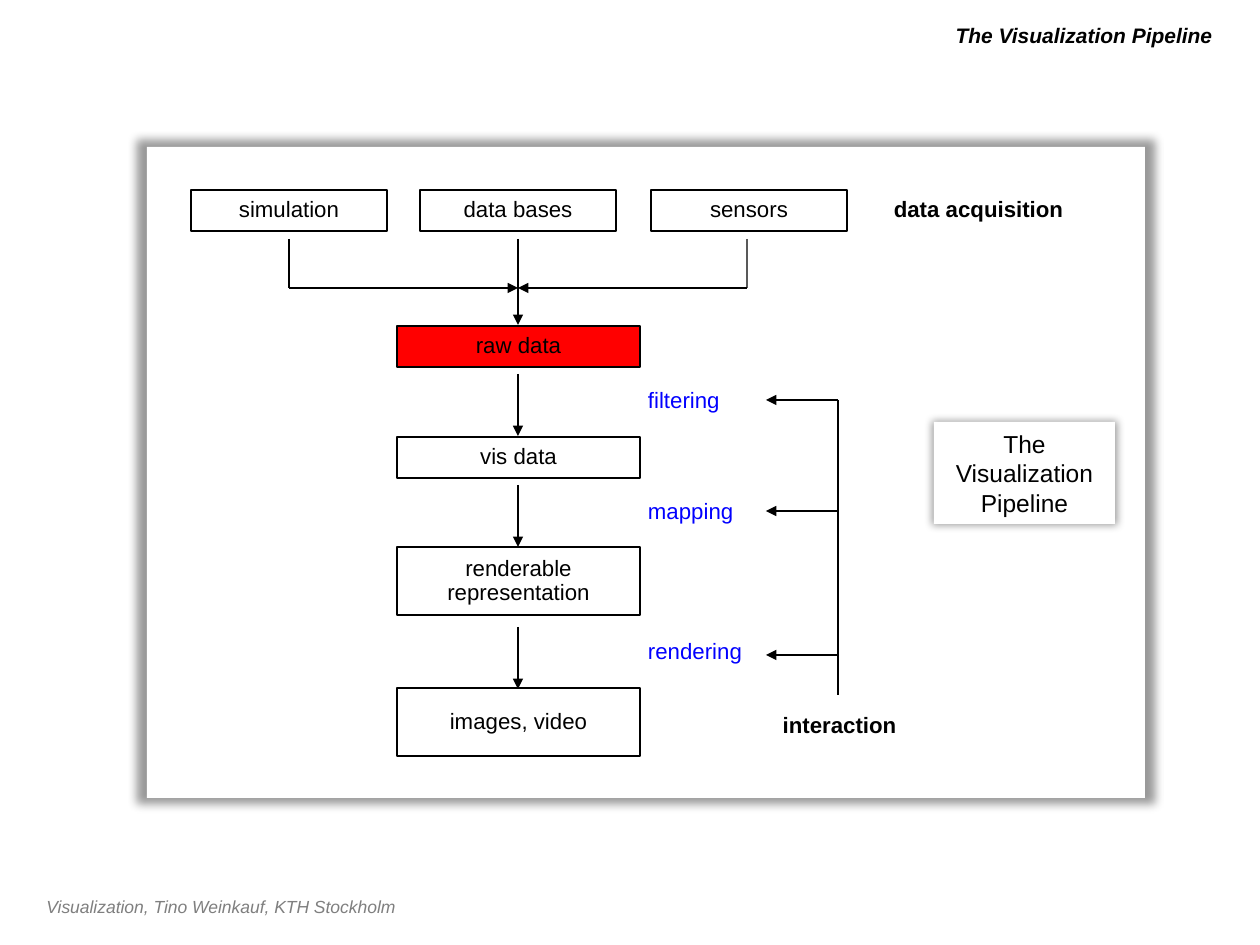
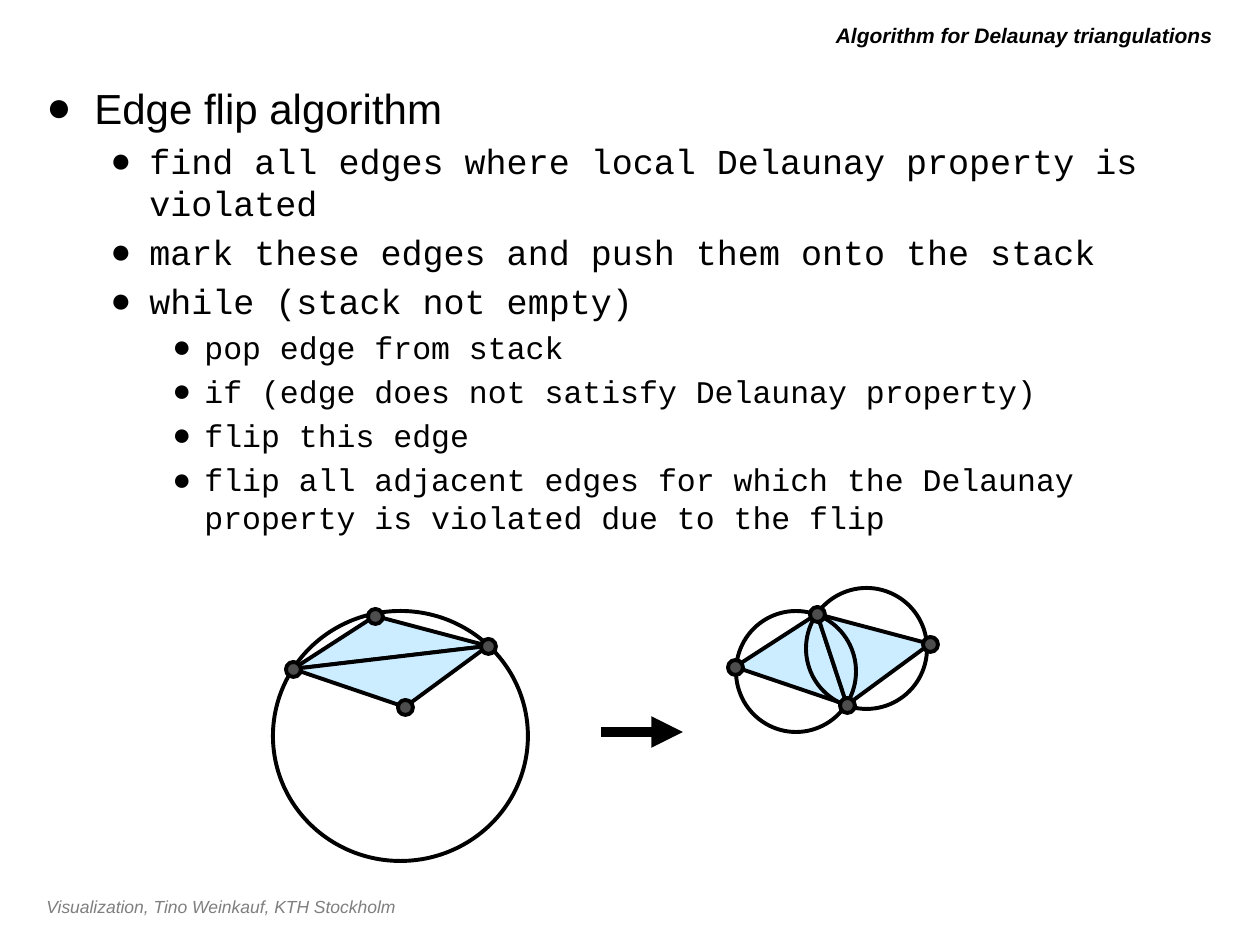
from lxml import etree
from pptx import Presentation
from pptx.dml.color import RGBColor
from pptx.enum.shapes import MSO_CONNECTOR, MSO_SHAPE
from pptx.enum.text import MSO_ANCHOR, PP_ALIGN
from pptx.oxml import parse_xml
from pptx.oxml.ns import nsdecls, qn
from pptx.util import Emu, Pt

PX = 914400 / 126
RECT, OVAL = MSO_SHAPE.RECTANGLE, MSO_SHAPE.OVAL
LEFT, CENTER, RIGHT = PP_ALIGN.LEFT, PP_ALIGN.CENTER, PP_ALIGN.RIGHT
TOP, MIDDLE = MSO_ANCHOR.TOP, MSO_ANCHOR.MIDDLE
STRAIGHT = MSO_CONNECTOR.STRAIGHT
color = RGBColor.from_string

BLACK, WHITE, RED, BLUE = "000000", "FFFFFF", "FF0000", "0200FF"
FOOTER_GRAY, LINE_GRAY = "7F7F7F", "595959"
FACE_BLUE, DOT_GRAY = "CCECFF", "4D4D4D"
OUTLINE = 2.25
LABEL_SIZE = 12.7


def add_block(slide, box, text="", shape=None, fill=None, line=None, weight=1.5,
              align=LEFT, anchor=MIDDLE, inset=None, spacing=1.0, ink=BLACK, **font):
    """Add a preset shape, or a text box when no shape is given; box is in px."""
    place = [Emu(round(v * PX)) for v in box]
    if shape is None:
        block = slide.shapes.add_textbox(*place)
    else:
        block = slide.shapes.add_shape(shape, *place)
        block.shadow.inherit = False
        if fill:
            block.fill.solid()
            block.fill.fore_color.rgb = color(fill)
        else:
            block.fill.background()
        if line:
            block.line.color.rgb = color(line)
            block.line.width = Pt(weight)
        else:
            block.line.fill.background()
    frame = block.text_frame
    frame.word_wrap = True
    frame.vertical_anchor = anchor
    if inset is not None:
        for side in ("left", "top", "right", "bottom"):
            setattr(frame, f"margin_{side}", Emu(round(inset * PX)))
    if text:
        paragraph = frame.paragraphs[0]
        paragraph.text = text
        paragraph.alignment = align
        paragraph.line_spacing = spacing
        paragraph.font.color.rgb = color(ink)
        for key, value in {"name": "Arial", **font}.items():
            setattr(paragraph.font, key, value)
    return block


def add_line(slide, start, end, ink=BLACK, weight=1, arrow=False):
    ends = [Emu(round(v * PX)) for v in (*start, *end)]
    connector = slide.shapes.add_connector(STRAIGHT, *ends)
    connector.line.color.rgb = color(ink)
    connector.line.width = Pt(weight)
    if arrow:
        etree.SubElement(connector.line._get_or_add_ln(), qn("a:tailEnd"), type="triangle")
    etree.SubElement(connector._element.spPr, qn("a:effectLst"))


prs = Presentation()
prs.slide_width, prs.slide_height = Emu(round(1260 * PX)), Emu(round(945 * PX))

slides = []
for title in ("The Visualization Pipeline", "Algorithm for Delaunay triangulations"):
    slide = prs.slides.add_slide(prs.slide_layouts[6])
    add_block(slide, (34, 890, 931, 34), "Visualization, Tino Weinkauf, KTH Stockholm",
              anchor=TOP, ink=FOOTER_GRAY, size=Pt(10), italic=True)
    add_block(slide, (199, 16, 1026, 39), title, align=RIGHT,
              size=Pt(12), bold=True, italic=True)
    slides.append(slide)
pipeline, delaunay = slides

# Slide 1: panels with a soft halo
frame_panel = add_block(pipeline, (147, 147, 998, 651), shape=RECT, fill=WHITE)
caption_panel = add_block(pipeline, (934, 422, 181, 102), "The Visualization Pipeline",
                          shape=RECT, fill=WHITE, align=CENTER, size=Pt(14))
for panel in (frame_panel, caption_panel):
    effects = panel._element.spPr.find(qn("a:effectLst"))
    effects.append(parse_xml(
        f'<a:outerShdw {nsdecls("a")} blurRad="63500" sx="102000" sy="102000" algn="ctr" '
        'rotWithShape="0"><a:srgbClr val="000000"><a:alpha val="40000"/></a:srgbClr>'
        '</a:outerShdw>'))

# Data sources and pipeline stages
stages = [
    ("simulation", (191, 190, 196, 41), WHITE),
    ("data bases", (420, 190, 196, 41), WHITE),
    ("sensors", (651, 190, 196, 41), WHITE),
    ("raw data", (397, 326, 243, 41), RED),
    ("vis data", (397, 437, 243, 41), WHITE),
    ("renderable representation", (397, 547, 243, 68), WHITE),
    ("images, video", (397, 688, 243, 68), WHITE),
]
for text, box, fill in stages:
    add_block(pipeline, box, text, RECT, fill, BLACK, align=CENTER, inset=4,
              spacing=0.9, size=Pt(LABEL_SIZE))

AXIS_X, MERGE_Y = 518, 288
for top, bottom in ((239, 325), (374, 436), (485, 547), (627, 689)):
    add_line(pipeline, (AXIS_X, top), (AXIS_X, bottom), arrow=True)
for source_x, ink in ((289, BLACK), (747, LINE_GRAY)):
    add_line(pipeline, (source_x, 239), (source_x, MERGE_Y), ink)
    add_line(pipeline, (source_x, MERGE_Y), (AXIS_X, MERGE_Y), arrow=True)

# Interaction feeds back into each step
INTERACTION_X = 838
for step, label_y, arrow_y in (("filtering", 381, 400), ("mapping", 492, 511),
                               ("rendering", 632, 655)):
    add_block(pipeline, (644, label_y, 164, 38), step, inset=4, ink=BLUE, size=Pt(LABEL_SIZE))
    add_line(pipeline, (INTERACTION_X, arrow_y), (766, arrow_y), arrow=True)
add_line(pipeline, (INTERACTION_X, 400), (INTERACTION_X, 695))
for text, box in (("interaction", (742, 706, 195, 38)),
                  ("data acquisition", (857, 190, 243, 38))):
    add_block(pipeline, box, text, align=CENTER, inset=4, size=Pt(LABEL_SIZE), bold=True)

# Slide 2: algorithm outline
levels = [  # indent px, hanging px, size, font, space before
    (48, 48, 24, "Arial", 0),
    (103, 39, 20, "Courier New", 4),
    (158, 32, 18, "Courier New", 3.6),
]
outline = [
    (0, "Edge flip algorithm"),
    (1, "find all edges where local Delaunay property is violated"),
    (1, "mark these edges and push them onto the stack"),
    (1, "while (stack not empty)"),
    (2, "pop edge from stack"),
    (2, "if (edge does not satisfy Delaunay property)"),
    (2, "flip this edge"),
    (2, "flip all adjacent edges for which the Delaunay property is violated due to the flip"),
]
body = add_block(delaunay, (34, 76, 1191, 794), anchor=TOP).text_frame
for row, (level, text) in enumerate(outline):
    indent, hanging, size, font_name, before = levels[level]
    paragraph = body.add_paragraph() if row else body.paragraphs[0]
    paragraph.text = text
    paragraph.level = level
    if row:
        paragraph.space_before = Pt(before)
    properties = paragraph._p.get_or_add_pPr()
    properties.set("marL", str(round(indent * PX)))
    properties.set("indent", str(round(-hanging * PX)))
    etree.SubElement(properties, qn("a:buFont"), typeface="Arial")
    etree.SubElement(properties, qn("a:buChar"), char="●")
    paragraph.font.color.rgb = color(BLACK)
    for key, value in {"name": font_name, "size": Pt(size)}.items():
        setattr(paragraph.font, key, value)

# The same four points before and after flipping the diagonal
points = {"top": (375, 616), "left": (293, 669), "bottom": (405, 707), "right": (488, 646)}
states = [
    ((0, 0), ("top left right", "left right bottom"), [(273, 611, 255, 250)]),
    ((442, -2), ("top left bottom", "bottom right top"),
     [(806, 588, 121, 121), (736, 611, 120, 121)]),
]
for (dx, dy), triangles, circles in states:
    corners = {name: (x + dx, y + dy) for name, (x, y) in points.items()}
    for triangle in triangles:
        first, *rest = [corners[name] for name in triangle.split()]
        builder = delaunay.shapes.build_freeform(*first, scale=PX)
        builder.add_line_segments(rest, close=True)
        face = builder.convert_to_shape()
        face.shadow.inherit = False
        face.fill.solid()
        face.fill.fore_color.rgb = color(FACE_BLUE)
        face.line.color.rgb = color(BLACK)
        face.line.width = Pt(OUTLINE)
    for circle in circles:
        add_block(delaunay, circle, shape=OVAL, line=BLACK, weight=OUTLINE)
    for x, y in corners.values():
        add_block(delaunay, (x - 7, y - 7, 15, 15), shape=OVAL, fill=DOT_GRAY,
                  line=BLACK, weight=OUTLINE)
add_line(delaunay, (601, 732), (683, 732), weight=6, arrow=True)

prs.save("out.pptx")
